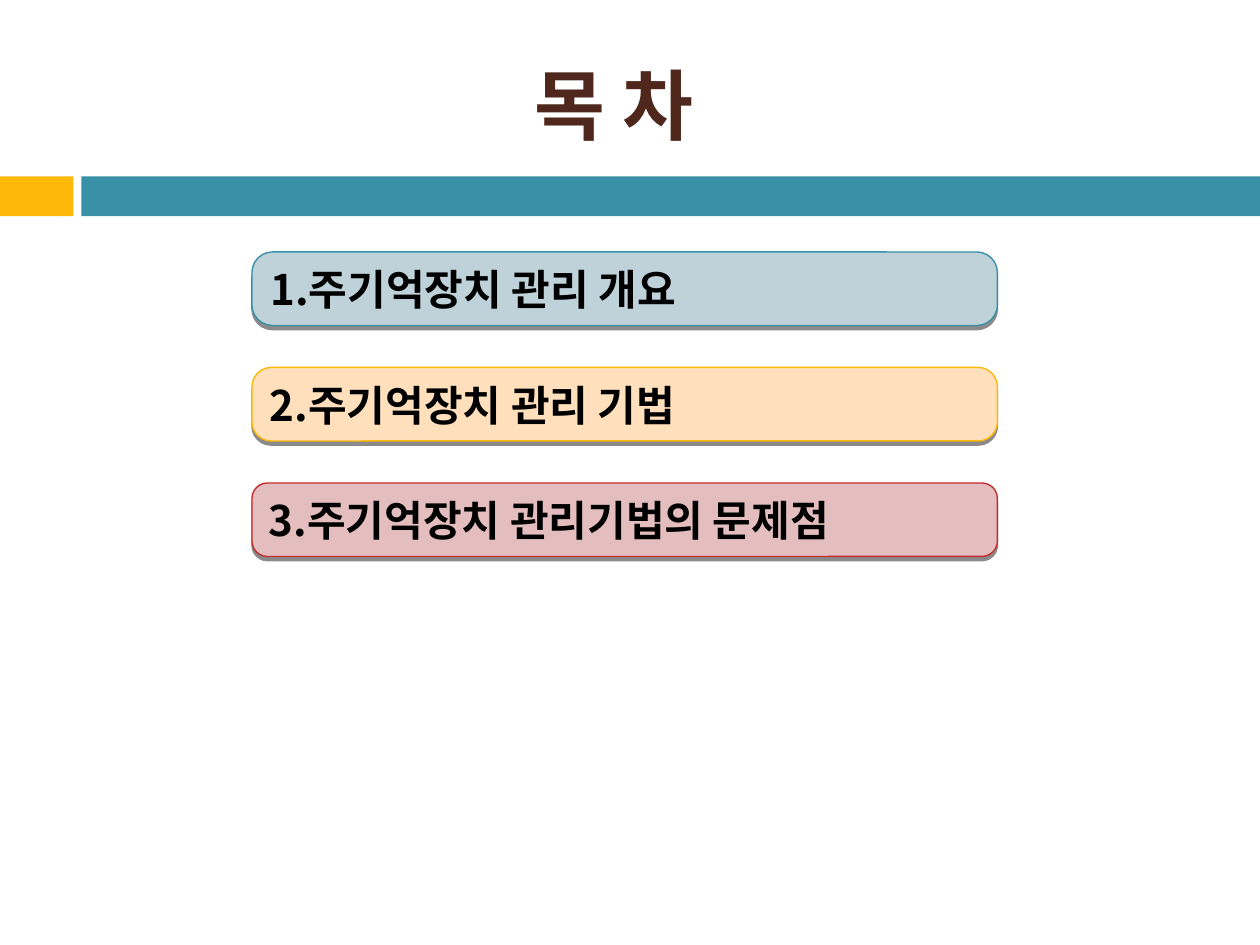
from dataclasses import dataclass

from lxml.etree import SubElement
from pptx import Presentation
from pptx.dml.color import RGBColor
from pptx.enum.shapes import MSO_SHAPE as Shape
from pptx.enum.text import MSO_ANCHOR as Anchor, MSO_AUTO_SIZE as AutoSize, PP_ALIGN as Align
from pptx.oxml.ns import qn
from pptx.util import Pt

FONT = "Noto Sans CJK KR"
BLACK = RGBColor(0x00, 0x00, 0x00)
BROWN = RGBColor(0x4F, 0x27, 0x1C)
TEAL = RGBColor(0x38, 0x91, 0xA7)
AMBER = RGBColor(0xFE, 0xB8, 0x0A)
RED = RGBColor(0xC3, 0x2D, 0x2E)
PALE_TEAL = RGBColor(0xBF, 0xD2, 0xD9)
PALE_AMBER = RGBColor(0xFF, 0xDF, 0xBC)
PALE_RED = RGBColor(0xE4, 0xBE, 0xBE)

BAND_TOP, BAND_HEIGHT = 100.8, 22.8
ENTRY_LEFT, ENTRY_TOP, ENTRY_PITCH = 144, 144, 66
ENTRY_WIDTH, ENTRY_HEIGHT = 426, 42


@dataclass(frozen=True)
class Band:
    left: float
    width: float
    fill: RGBColor


@dataclass(frozen=True)
class Entry:
    text: str
    fill: RGBColor
    line: RGBColor
    rounding: float


BANDS = [Band(0, 42, AMBER), Band(46.5, 673.5, TEAL)]
ENTRIES = [
    Entry("1.주기억장치 관리 개요", PALE_TEAL, TEAL, 0.28),
    Entry("2.주기억장치 관리 기법", PALE_AMBER, AMBER, 0.26),
    Entry("3.주기억장치 관리기법의 문제점", PALE_RED, RED, 0.21),
]


def write_text(shape, text: str, *, size: float, color: RGBColor,
               align: Align = Align.LEFT, wrap: bool = True) -> None:
    frame = shape.text_frame
    frame.word_wrap = wrap
    frame.auto_size = AutoSize.NONE
    frame.vertical_anchor = Anchor.MIDDLE
    paragraph = frame.paragraphs[0]
    paragraph.alignment = align
    run = paragraph.add_run()
    run.text = text
    run.font.name = FONT
    run.font.size = Pt(size)
    run.font.bold = True
    run.font.color.rgb = color
    SubElement(run.font._element, qn("a:ea"), typeface=FONT)


def add_drop_shadow(shape) -> None:
    """Give the shape a sharp shadow straight below it."""
    shape.shadow.inherit = False
    effects = shape._element.spPr.find(qn("a:effectLst"))
    shadow = SubElement(effects, qn("a:outerShdw"), blurRad="0",
                        dist=str(Pt(2.4)), dir="5400000", rotWithShape="0")
    color = SubElement(shadow, qn("a:srgbClr"), val=str(BLACK))
    SubElement(color, qn("a:alpha"), val="45000")


def add_band(slide, band: Band) -> None:
    shape = slide.shapes.add_shape(Shape.RECTANGLE, Pt(band.left), Pt(BAND_TOP),
                                   Pt(band.width), Pt(BAND_HEIGHT))
    shape.shadow.inherit = False
    shape.fill.solid()
    shape.fill.fore_color.rgb = band.fill
    shape.line.fill.background()


def add_entry(slide, entry: Entry, top: float) -> None:
    shape = slide.shapes.add_shape(Shape.ROUNDED_RECTANGLE, Pt(ENTRY_LEFT), Pt(top),
                                   Pt(ENTRY_WIDTH), Pt(ENTRY_HEIGHT))
    shape.adjustments[0] = entry.rounding
    shape.fill.solid()
    shape.fill.fore_color.rgb = entry.fill
    shape.line.color.rgb = entry.line
    shape.line.width = Pt(0.79)
    add_drop_shadow(shape)
    write_text(shape, entry.text, size=24, color=BLACK, wrap=False)


def main() -> None:
    presentation = Presentation()
    presentation.slide_width, presentation.slide_height = Pt(720), Pt(540)
    title_only = presentation.slide_layouts[5]
    slide = presentation.slides.add_slide(title_only)

    for band in BANDS:
        add_band(slide, band)

    title = slide.shapes.title
    title.left, title.top, title.width, title.height = Pt(30), Pt(20), Pt(642), Pt(78)
    write_text(title, "목 차", size=44, color=BROWN, align=Align.CENTER)

    for index, entry in enumerate(ENTRIES):
        add_entry(slide, entry, ENTRY_TOP + index * ENTRY_PITCH)

    presentation.save("out.pptx")


if __name__ == "__main__":
    main()
